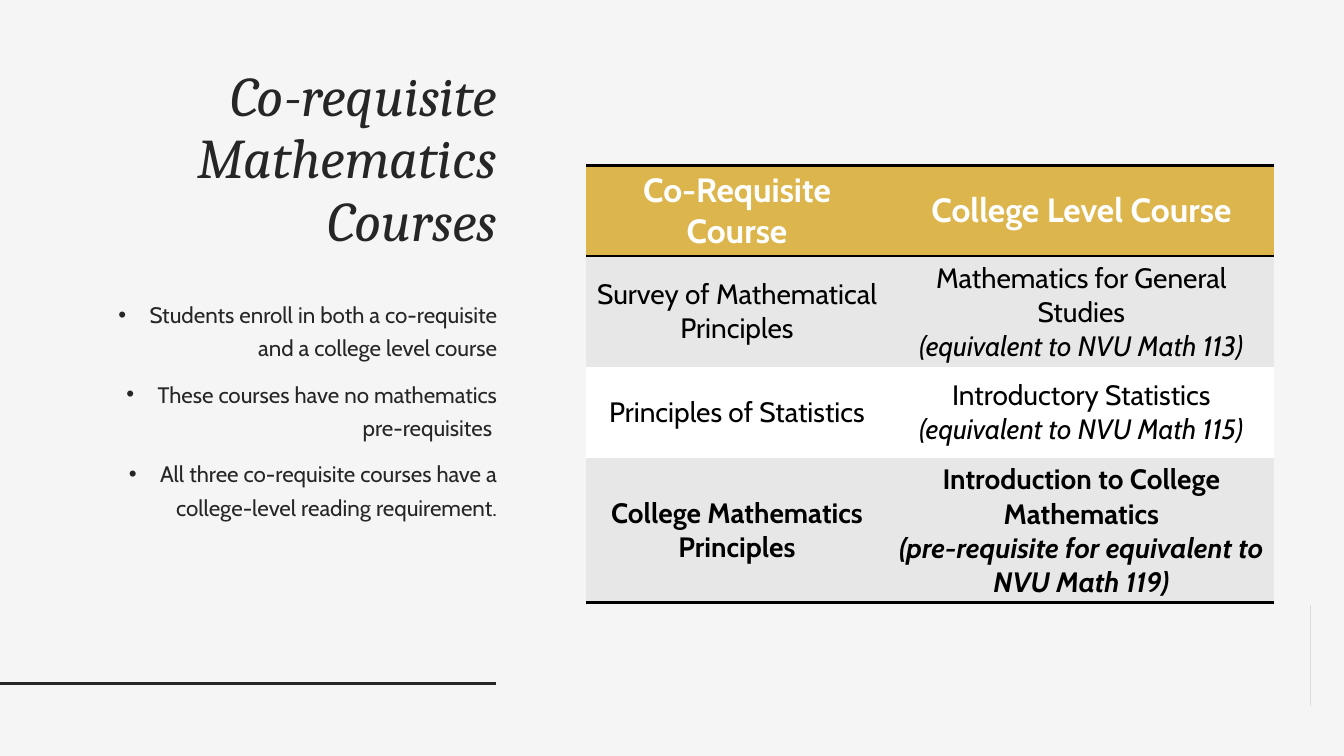
from math import cos, radians, sin

from lxml.etree import SubElement
from pptx import Presentation
from pptx.dml.color import RGBColor
from pptx.enum.shapes import MSO_CONNECTOR as Connector
from pptx.enum.text import MSO_ANCHOR as Anchor, MSO_AUTO_SIZE as AutoSize, PP_ALIGN as Align
from pptx.oxml.ns import qn
from pptx.util import Inches, Pt

INK, GOLD, GREY, WHITE, BLACK = "262626", "DCB64D", "E7E7E7", "FFFFFF", "000000"


def color(hex_code):
    return RGBColor.from_string(hex_code)


def style(para, font_name, size, hex_code, align, bold=False, italic=False):
    para.alignment = align
    for span in para.runs:
        font = span.font
        font.name, font.size, font.bold, font.italic = font_name, Pt(size), bold, italic
        font.color.rgb = color(hex_code)


deck = Presentation()
deck.slide_width, deck.slide_height = Inches(13.33), Inches(7.5)
page = deck.slides.add_slide(deck.slide_layouts[5])
page.background.fill.solid()
page.background.fill.fore_color.rgb = color("F5F5F5")

left, column_width = Inches(0.83), Inches(4.2)
rule_y, radius = 6.78, 0.45

arc = [(13.33 - radius * sin(radians(angle)), rule_y - radius + radius * cos(radians(angle)))
       for angle in range(0, 181, 5)]
builder = page.shapes.build_freeform(*arc[0], scale=Inches(1))
builder.add_line_segments(arc[1:], close=True)
half_disc = builder.convert_to_shape()
half_disc.shadow.inherit = False
half_disc.fill.solid()
half_disc.fill.fore_color.rgb = color(INK)
half_disc.line.fill.background()

rule = page.shapes.add_connector(
    Connector.STRAIGHT, 0, Inches(rule_y), Inches(4.92), Inches(rule_y))
rule.line.color.rgb = color(INK)
rule.line.width = Pt(2)
SubElement(rule._element.spPr, qn("a:effectLst"))

title = page.shapes.title
title.left, title.top, title.width, title.height = left, Inches(0.61), column_width, Inches(2.1)
title.text_frame.text = "Co-requisite Mathematics Courses"
title.text_frame.word_wrap = True
title.text_frame.auto_size = AutoSize.NONE
title.text_frame.vertical_anchor = Anchor.TOP
heading = title.text_frame.paragraphs[0]
heading.line_spacing = 0.93
style(heading, "Cambria", 40, INK, Align.RIGHT, italic=True)

notes_box = page.shapes.add_textbox(left, Inches(2.87), column_width, Inches(3.54))
notes_box.text_frame.word_wrap = True
notes_box.text_frame.text = "\n".join([
    "Students enroll in both a co-requisite and a college level course",
    "These courses have no mathematics pre-requisites ",
    "All three co-requisite courses have a college-level reading requirement.",
])
for para in notes_box.text_frame.paragraphs:
    style(para, "Cabin", 16, INK, Align.RIGHT)
    para.line_spacing, para.space_before = 1.25, Pt(9)
    props = para._p.get_or_add_pPr()
    props.set("marL", str(Inches(0.31)))
    props.set("indent", str(-Inches(0.31)))
    SubElement(props, qn("a:buFont"), typeface="Arial")
    SubElement(props, qn("a:buChar"), char="•")

courses = [
    ("Co-Requisite Course", "College Level Course"),
    ("Survey of Mathematical Principles",
     "Mathematics for General Studies\n(equivalent to NVU Math 113)"),
    ("Principles of Statistics", "Introductory Statistics\n(equivalent to NVU Math 115)"),
    ("College Mathematics Principles",
     "Introduction to College Mathematics\n(pre-requisite for equivalent to NVU Math 119)"),
]
row_fills = [GOLD, GREY, WHITE, GREY]
ruled_sides = {0: ("lnT", "lnB"), 1: ("lnT",), 3: ("lnB",)}
row_height = Inches(0.9)
table = page.shapes.add_table(len(courses), 2, Inches(5.81), Inches(1.64),
                              Inches(6.83), row_height * len(courses)).table
table.columns[0].width, table.columns[1].width = Inches(3), Inches(3.83)

for row, texts in enumerate(courses):
    table.rows[row].height = row_height
    is_header = row == 0
    for column, text in enumerate(texts):
        cell = table.cell(row, column)
        cell.text_frame.text = text
        cell.vertical_anchor = Anchor.MIDDLE
        cell.margin_left = cell.margin_right = Inches(0.06)
        cell.margin_top = cell.margin_bottom = Inches(0.05)
        cell_props = cell._tc.get_or_add_tcPr()
        for side in ("lnL", "lnR", "lnT", "lnB"):
            if side in ruled_sides.get(row, ()):
                border = SubElement(cell_props, qn(f"a:{side}"), w=str(Pt(2)))
                paint = SubElement(border, qn("a:solidFill"))
                SubElement(paint, qn("a:srgbClr"), val=BLACK)
            else:
                border = SubElement(cell_props, qn(f"a:{side}"), w="0")
                SubElement(border, qn("a:noFill"))
        cell.fill.solid()
        cell.fill.fore_color.rgb = color(row_fills[row])
        for para in cell.text_frame.paragraphs:
            style(para, "Cabin", 24 if is_header else 20, WHITE if is_header else BLACK,
                  Align.CENTER, bold=row in (0, 3), italic=para.text.startswith("("))

deck.save("out.pptx")
